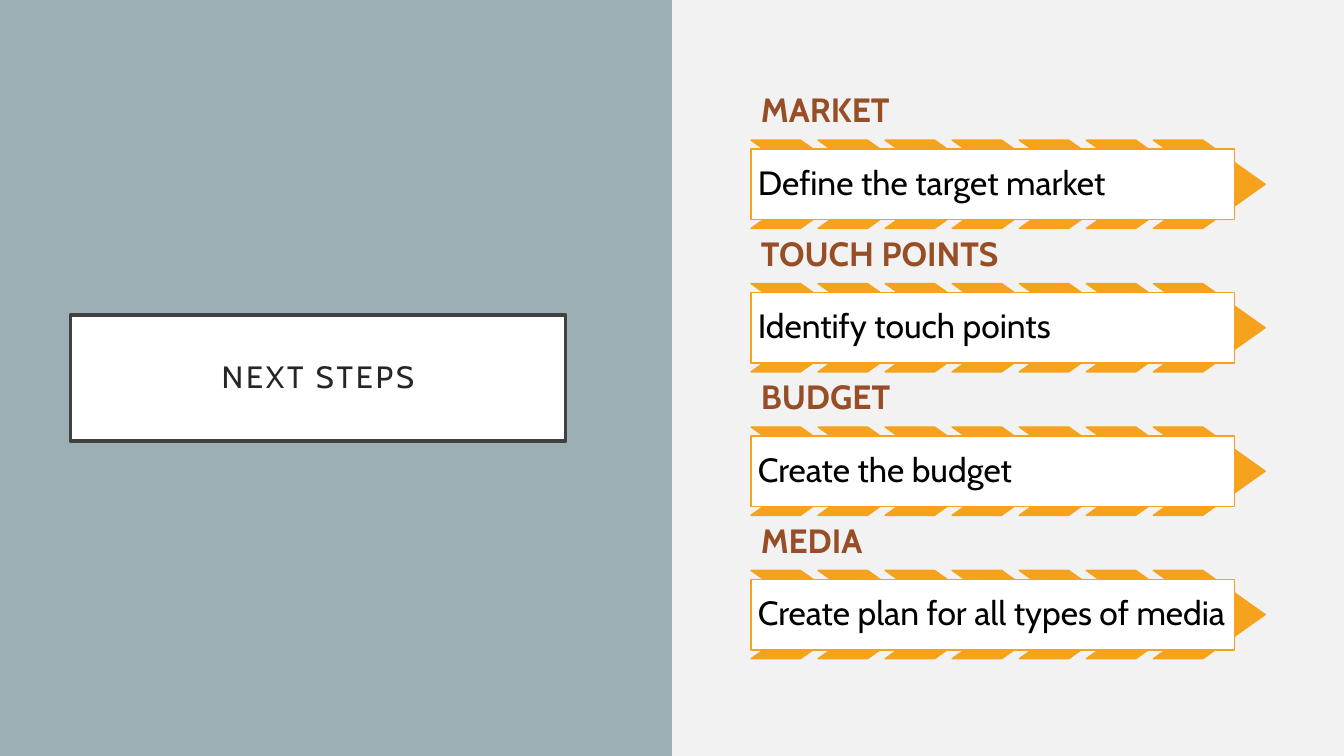
from dataclasses import dataclass

from pptx import Presentation
from pptx.dml.color import RGBColor
from pptx.enum.shapes import MSO_SHAPE
from pptx.enum.text import MSO_ANCHOR, MSO_AUTO_SIZE, PP_ALIGN
from pptx.slide import Slide
from pptx.text.text import TextFrame, _Run
from pptx.util import Pt

FONT = "Cabin"
ORANGE = "F6A21D"
BROWN = "974D25"
WHITE = "FFFFFF"
LEFT = 536.4
TOP = 69.1
PITCH = 102.45
CHEVRONS = 7
STEP = 47.9


@dataclass(frozen=True)
class Stage:
    head: str
    task: str


@dataclass(frozen=True)
class Box:
    left: float
    top: float
    width: float
    height: float


STAGES = (
    Stage("MARKET", "Define the target market"),
    Stage("TOUCH POINTS", "Identify touch points"),
    Stage("BUDGET", "Create the budget"),
    Stage("MEDIA", "Create plan for all types of media"),
)


def paint(target, code: str) -> None:
    if hasattr(target, "solid"):
        target.solid()
        target.fore_color.rgb = RGBColor.from_string(code)
    elif hasattr(target, "fill"):
        paint(target.fill, code)
    else:
        target.color.rgb = RGBColor.from_string(code)


def place(shape, box: Box) -> None:
    shape.left, shape.top = Pt(box.left), Pt(box.top)
    shape.width, shape.height = Pt(box.width), Pt(box.height)


def draw(slide: Slide, kind: MSO_SHAPE, box: Box, fill: str, line: str = ""):
    shape = slide.shapes.add_shape(kind, 0, 0, 0, 0)
    place(shape, box)
    shape.shadow.inherit = False
    paint(shape.fill, fill)
    if line:
        paint(shape.line, line)
        shape.line.width = Pt(1)
    else:
        shape.line.fill.background()
    return shape


def write(frame: TextFrame, text: str, size: float, color: str, inset: float,
          anchor: MSO_ANCHOR, align: PP_ALIGN = PP_ALIGN.LEFT,
          bold: bool = False) -> _Run:
    frame.word_wrap = True
    frame.auto_size = MSO_AUTO_SIZE.NONE
    frame.vertical_anchor = anchor
    frame.margin_left = frame.margin_right = Pt(inset)
    frame.margin_top = frame.margin_bottom = Pt(inset)
    para = frame.paragraphs[0]
    para.alignment = align
    para.line_spacing = 0.9
    run = para.add_run()
    run.text = text
    run.font.name = FONT
    run.font.size = Pt(size)
    run.font.bold = bold
    paint(run.font.fill, color)
    return run


def add_title(slide: Slide) -> None:
    title = slide.shapes.title
    place(title, Box(50.4, 225.1, 353.5, 90))
    paint(title.fill, WHITE)
    paint(title.line, "404040")
    title.line.width = Pt(2.5)
    run = write(title.text_frame, "NEXT STEPS", 22, "262626", 14.4,
                MSO_ANCHOR.MIDDLE, PP_ALIGN.CENTER)
    run._r.get_or_add_rPr().set("spc", "200")


def add_stage(slide: Slide, stage: Stage, top: float) -> None:
    head = slide.shapes.add_textbox(0, 0, 0, 0)
    place(head, Box(LEFT, top, 341.3, 31))
    write(head.text_frame, stage.head, 24, BROWN, 7.2, MSO_ANCHOR.BOTTOM,
          bold=True)
    for index in range(CHEVRONS):
        box = Box(LEFT + index * STEP, top + 31, 79.9, 63.1)
        arrow = draw(slide, MSO_SHAPE.CHEVRON, box, ORANGE, ORANGE)
        arrow.adjustments[0] = 0.706
    bar = draw(slide, MSO_SHAPE.RECTANGLE, Box(LEFT, top + 37.4, 345.6, 50.5),
               WHITE, ORANGE)
    write(bar.text_frame, stage.task, 24, "000000", 5, MSO_ANCHOR.MIDDLE)


def main() -> None:
    deck = Presentation()
    deck.slide_width, deck.slide_height = Pt(960), Pt(540)
    slide = deck.slides.add_slide(deck.slide_layouts[5])
    paint(slide.background.fill, "F2F2F2")
    panel = draw(slide, MSO_SHAPE.RECTANGLE, Box(0, 0, 480, 540), "9BAFB5")
    slide.shapes.element.insert(2, panel.element)
    add_title(slide)
    for index, stage in enumerate(STAGES):
        add_stage(slide, stage, TOP + index * PITCH)
    deck.save("out.pptx")


if __name__ == "__main__":
    main()
